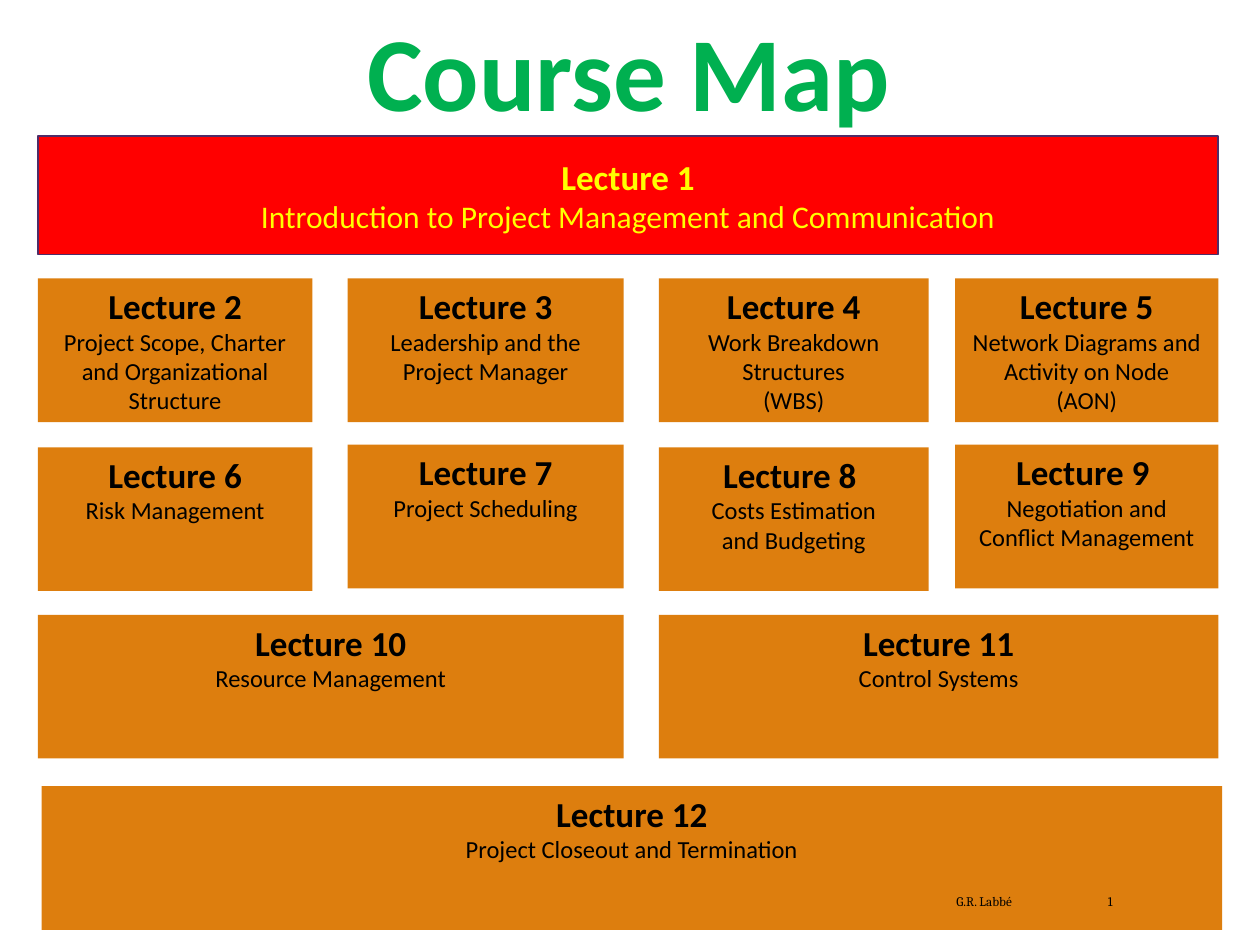
from dataclasses import dataclass

from pptx import Presentation
from pptx import util as u
from pptx.dml.color import RGBColor
from pptx.enum import shapes, text


@dataclass(frozen=True)
class Theme:
    font: str = "Calibri"
    foot: str = "Cambria"
    green: str = "00B050"
    red: str = "FF0000"
    edge: str = "4F2D68"
    gold: str = "FFFF00"
    tan: str = "DD7E0E"
    black: str = "000000"
    title: float = 60
    head: float = 20
    intro: float = 18
    body: float = 14
    small: float = 7.5


THEME = Theme()
MID = text.PP_ALIGN.CENTER

# Left and width of each column; top of each lecture row
COLS = [(0.3, 2.18), (2.76, 2.19), (5.23, 2.14), (7.58, 2.09)]
ROWS = [2.21, 3.55, 4.88, 6.24]
HIGH = 1.14

# Row, first column, last column, lines of text
CARDS = [
    (0, 0, 0, ["Lecture 2", "Project Scope, Charter and Organizational Structure"]),
    (0, 1, 1, ["Lecture 3", "Leadership and the Project Manager"]),
    (0, 2, 2, ["Lecture 4", "Work Breakdown Structures", "(WBS)"]),
    (0, 3, 3, ["Lecture 5", "Network Diagrams and Activity on Node", "(AON)"]),
    (1, 0, 0, ["Lecture 6", "Risk Management"]),
    (1, 1, 1, ["Lecture 7", "Project Scheduling"]),
    (1, 2, 2, ["Lecture 8 ", "Costs Estimation", "and Budgeting"]),
    (1, 3, 3, ["Lecture 9 ", "Negotiation and", "Conflict Management"]),
    (2, 0, 1, ["Lecture 10", "Resource Management"]),
    (2, 2, 3, ["Lecture 11", "Control Systems"]),
    (3, 0, 3, ["Lecture 12", "Project Closeout and Termination"]),
]
# Small shifts off the grid, by row and first column
SHIFT = {(1, 1): (0, -0.02), (1, 3): (0, -0.02), (3, 0): (0.03, 0)}


def color(code):
    return RGBColor.from_string(code)


def place(shape, box):
    shape.left, shape.top, shape.width, shape.height = map(u.Inches, box)


def write(shape, lines, anchor, align=MID):
    """Fill a shape with lines of (words, size, colour, bold, font)."""
    frame = shape.text_frame
    frame.word_wrap = True
    frame.auto_size = text.MSO_AUTO_SIZE.NONE
    frame.vertical_anchor = anchor
    for i, (words, size, tint, bold, name) in enumerate(lines):
        para = frame.add_paragraph() if i else frame.paragraphs[0]
        para.alignment = align
        run = para.add_run()
        run.text = words
        font = run.font
        font.size, font.bold, font.name = u.Pt(size), bold, name
        font.color.rgb = color(tint)


def title(slide, box):
    shape = slide.shapes.title
    place(shape, box)
    line = ("Course Map", THEME.title, THEME.green, True, THEME.font)
    write(shape, [line], text.MSO_ANCHOR.TOP)


def panel(slide, box, lines, fill, ink, size, anchor, edge=None):
    """Draw a filled box with a bold first line."""
    shape = slide.shapes.add_shape(
        shapes.MSO_SHAPE.RECTANGLE, *map(u.Inches, box))
    shape.shadow.inherit = False
    shape.fill.solid()
    shape.fill.fore_color.rgb = color(fill)
    if edge:
        shape.line.color.rgb = color(edge)
        shape.line.width = u.Pt(1)
    else:
        shape.line.fill.background()
    head, *rest = lines
    styled = [(head, THEME.head, ink, True, THEME.font)]
    styled += [(words, size, ink, False, THEME.font) for words in rest]
    write(shape, styled, anchor)


def intro(slide, box):
    lines = ["Lecture 1", "Introduction to Project Management and Communication"]
    panel(slide, box, lines, THEME.red, THEME.gold, THEME.intro,
          text.MSO_ANCHOR.MIDDLE, THEME.edge)


def cards(slide):
    for row, first, last, lines in CARDS:
        dx, dy = SHIFT.get((row, first), (0, 0))
        left = COLS[first][0]
        wide = sum(COLS[last]) - left
        box = (left + dx, ROWS[row] + dy, wide, HIGH)
        panel(slide, box, lines, THEME.tan, THEME.black, THEME.body,
              text.MSO_ANCHOR.TOP)


def footer(slide, top, high):
    for words, left, wide in [("1", 8.36, 0.57), ("G.R. Labbé", 7.02, 1.11)]:
        box = slide.shapes.add_textbox(*map(u.Inches, (left, top, wide, high)))
        line = (words, THEME.small, THEME.black, False, THEME.foot)
        write(box, [line], text.MSO_ANCHOR.MIDDLE, text.PP_ALIGN.RIGHT)


def main():
    deck = Presentation()
    deck.slide_width, deck.slide_height = u.Inches(10), u.Inches(7.5)
    slide = deck.slides.add_slide(deck.slide_layouts[5])
    title(slide, (1.85, 0, 6.28, 1.11))
    intro(slide, (0.3, 1.08, 9.37, 0.94))
    cards(slide)
    footer(slide, 7.02, 0.26)
    deck.save("out.pptx")


if __name__ == "__main__":
    main()
